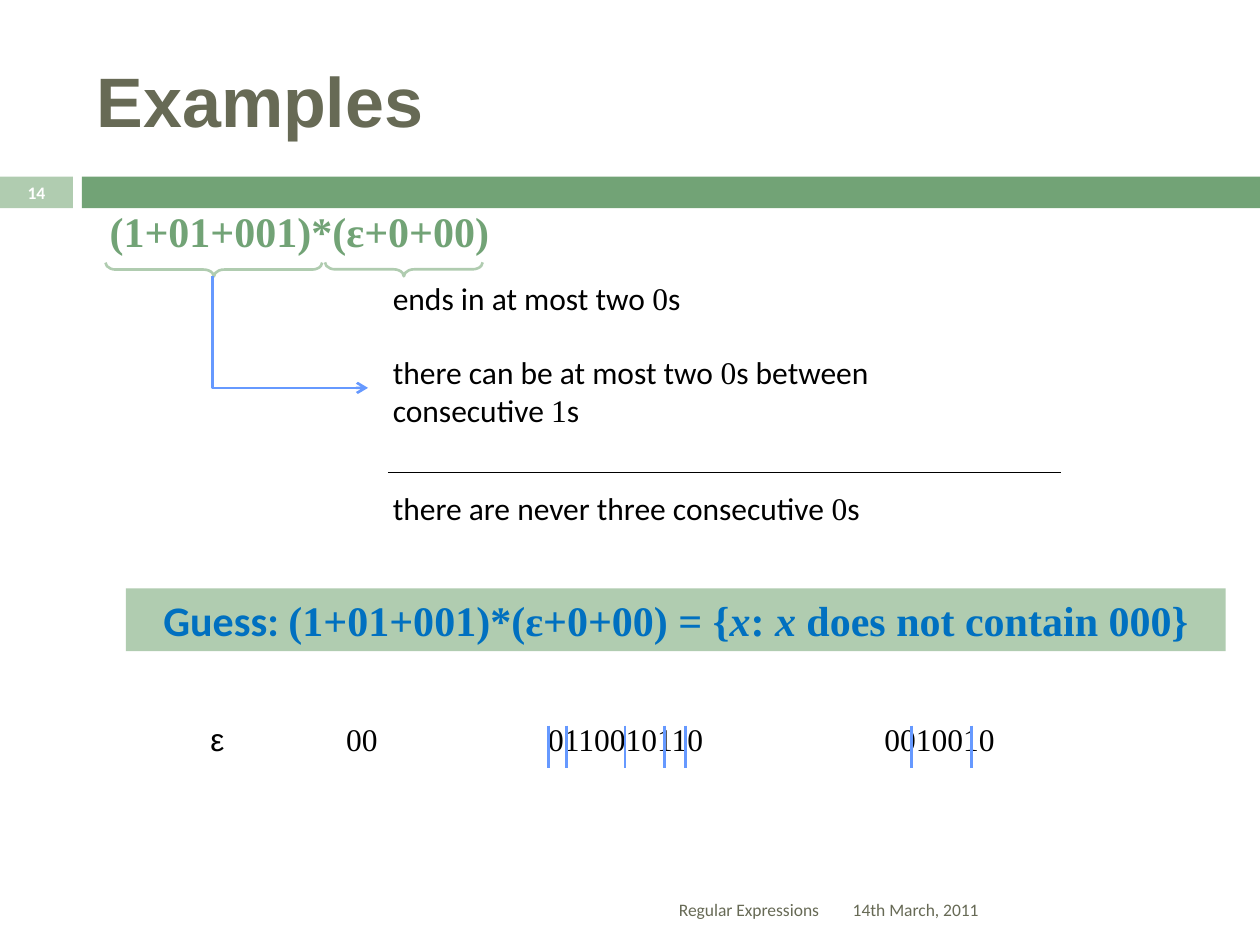
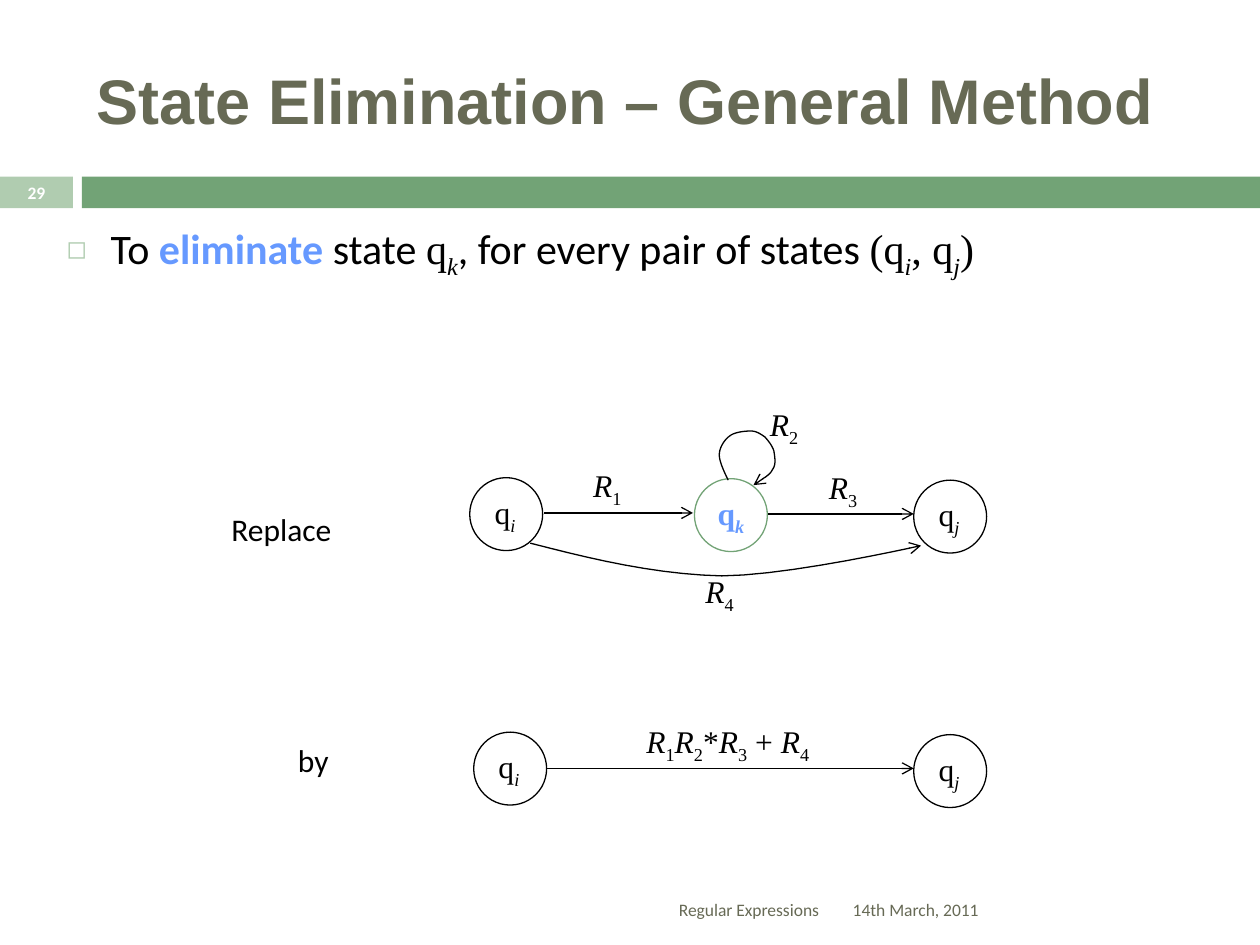
from lxml import etree
from pptx import Presentation
from pptx.dml.color import RGBColor
from pptx.enum.shapes import MSO_CONNECTOR, MSO_SHAPE
from pptx.enum.text import MSO_ANCHOR, MSO_AUTO_SIZE, PP_ALIGN
from pptx.oxml.ns import qn
from pptx.util import Cm, Pt

RECT, OVAL, BRACE = MSO_SHAPE.RECTANGLE, MSO_SHAPE.OVAL, MSO_SHAPE.RIGHT_BRACE
STRAIGHT, ELBOW = MSO_CONNECTOR.STRAIGHT, MSO_CONNECTOR.ELBOW
LEFT, CENTER, RIGHT = PP_ALIGN.LEFT, PP_ALIGN.CENTER, PP_ALIGN.RIGHT
MIDDLE = MSO_ANCHOR.MIDDLE

COLORS = {"title": "676A55", "band": "72A376", "pale": "B0CCB0", "accent": "6699FF",
          "guess": "0070C0", "text": "000000", "white": "FFFFFF"}
HEAD, BODY, MATH = "Arial", "Calibri", "Times New Roman"

# A run is a text or (text, flags): m math font, i italic, b bold, _ subscript, a accent colour.
# Boxes are left, top, width, height in cm.
FOOTER, DATE = "Regular Expressions", "14th March, 2011"

FORMULA = "(1+01+001)*(ε+0+00)"
BRACES = [(8.0, 3.84, 0.28, 3.18), (4.17, 3.25, 0.28, 4.37)]
CLAIM_X = 7.67
CLAIMS = [
    (5.51, 8.43, 1.3, ["ends in at most two ", ("0", "m"), "s"]),
    (6.99, 13.51, 2.31, ["there can be at most two ", ("0", "m"), "s between", "\n",
                         "consecutive ", ("1", "m"), "s"]),
    (9.73, 13.21, 1.3, ["there are never three consecutive ", ("0", "m"), "s"]),
]
GUESS = [("Guess: ", "b"), (FORMULA + " = {", "mb"), ("x", "mbi"), (": ", "mb"),
         ("x", "mbi"), (" does not contain 000}", "mb")]
SAMPLES = [(3.99, 0.89, "ε", HEAD), (6.73, 1.32, "00", MATH),
           (10.8, 4.52, "0110010110", MATH), (17.58, 3.33, "0010010", MATH)]
TICKS = [11.06, 11.42, 12.6, 13.39, 13.82, 18.38, 19.58]
TICK_TOP, TICK_BOTTOM = 14.63, 15.49

TASK = ["To ", ("eliminate ", "ba"), "state ", ("q", "m"), ("k", "mi_"),
        ", for every pair of states ", ("(q", "m"), ("i", "mi_"), (", q", "m"),
        ("j", "mi_"), (")", "m")]
STEPS = [(4.24, 10.16, 2.87, "Replace"), (5.72, 14.81, 1.19, "by")]
STATE_D = 1.47
STATES = [(9.47, 9.63, "i"), (14.0, 9.65, "k"), (18.42, 9.68, "j"),
          (9.55, 14.76, "i"), (18.42, 14.81, "j")]
ELIMINATED = "k"
ARROWS = [(10.97, 13.97, 10.34), (15.47, 18.42, 10.36), (11.02, 18.42, 15.49)]
EDGE_LABELS = [(11.71, 9.27, 1.17, "R1"), (15.27, 8.05, 1.17, "R2"), (16.46, 9.32, 1.17, "R3"),
               (13.97, 11.4, 1.17, "R4"), (12.78, 14.43, 3.99, "R1R2*R3 + R4")]
SELF_LOOP = [(14.68, 9.68), (14.63, 9.58), (14.5, 9.32), (14.5, 9.17),
             (14.5, 9.02), (14.61, 8.86), (14.71, 8.79),
             (14.81, 8.71), (15.01, 8.69), (15.14, 8.69),
             (15.24, 8.69), (15.32, 8.74), (15.42, 8.81),
             (15.49, 8.89), (15.57, 8.99), (15.6, 9.09),
             (15.62, 9.22), (15.65, 9.37), (15.57, 9.47),
             (15.52, 9.6), (15.27, 9.7), (15.19, 9.78)]
BYPASS = [(10.69, 10.95), (11.96, 11.28), (13.23, 11.58), (14.55, 11.61),
          (15.88, 11.61), (18.57, 11.0), (18.57, 11.0)]


def rgb(name):
    return RGBColor.from_string(COLORS[name])


def write(sp, runs, size=18, color="text", font=BODY, align=LEFT, anchor=MSO_ANCHOR.TOP,
          wrap=False):
    tf = sp.text_frame
    tf.word_wrap = wrap
    tf.auto_size = MSO_AUTO_SIZE.NONE if wrap else MSO_AUTO_SIZE.SHAPE_TO_FIT_TEXT
    tf.vertical_anchor = anchor
    p = tf.paragraphs[0]
    p.alignment = align
    for run in runs:
        text, flags = (run, "") if isinstance(run, str) else run
        if text == "\n":
            p.add_line_break()
            continue
        r = p.add_run()
        r.text = text
        r.font.size = Pt(size)
        r.font.name = MATH if "m" in flags else font
        r.font.bold = "b" in flags
        r.font.italic = "i" in flags
        r.font.color.rgb = rgb("accent" if "a" in flags else color)
        if "_" in flags:
            r.font._element.set("baseline", "-25000")
    return p


def add_text(s, box, runs, **style):
    return write(s.shapes.add_textbox(*map(Cm, box)), runs, **style)


def paint(sp, fill=None, line=None, width=0.75):
    sp.shadow.inherit = False
    if fill:
        sp.fill.solid()
        sp.fill.fore_color.rgb = rgb(fill)
    else:
        sp.fill.background()
    if line:
        sp.line.color.rgb = rgb(line)
        sp.line.width = Pt(width)
    else:
        sp.line.fill.background()


def add_shape(s, kind, box, **look):
    sp = s.shapes.add_shape(kind, *map(Cm, box))
    paint(sp, **look)
    return sp


def add_arrowhead(sp):
    etree.SubElement(sp.line._get_or_add_ln(), qn("a:tailEnd"), type="arrow")


def add_line(s, x1, y1, x2, y2, color="text", width=0.75, kind=STRAIGHT, arrow=False):
    c = s.shapes.add_connector(kind, Cm(x1), Cm(y1), Cm(x2), Cm(y2))
    c.line.color.rgb = rgb(color)
    c.line.width = Pt(width)
    if arrow:
        add_arrowhead(c)
    etree.SubElement(c._element.spPr, qn("a:effectLst"))
    return c


def add_curved_arrow(s, points, steps=10):
    """Draw joined cubic Bezier curves: a start, then two controls and an end for each."""
    path = []
    for n in range(0, len(points) - 1, 3):
        for k in range(1, steps + 1):
            t = k / steps
            weights = ((1 - t) ** 3, 3 * t * (1 - t) ** 2, 3 * t * t * (1 - t), t ** 3)
            path.append(tuple(Cm(sum(w * pt[axis] for w, pt in zip(weights, points[n:n + 4])))
                              for axis in (0, 1)))
    fb = s.shapes.build_freeform(*map(Cm, points[0]))
    fb.add_line_segments(path, close=False)
    sp = fb.convert_to_shape()
    paint(sp, line="text")
    add_arrowhead(sp)


def add_base_slide(prs, title, number, title_size):
    s = prs.slides.add_slide(prs.slide_layouts[6])
    add_shape(s, RECT, (0, 3.56, 1.47, 0.64), fill="pale")
    add_shape(s, RECT, (1.65, 3.56, 23.75, 0.64), fill="band")
    framed = {"anchor": MIDDLE, "wrap": True}
    add_text(s, (1.7, 0.64, 22.66, 2.74), [(title, "b")], size=title_size, color="title",
             font=HEAD, **framed)
    add_text(s, (0, 3.53, 1.47, 0.69), [(number, "b")], size=10, color="white",
             align=CENTER, **framed)
    add_text(s, (1.7, 17.83, 15.06, 1.02), [FOOTER], size=10, color="title",
             align=RIGHT, **framed)
    add_text(s, (16.94, 17.83, 7.42, 1.02), [DATE], size=10, color="title", **framed)
    return s


def build_examples(prs):
    s = add_base_slide(prs, "Examples", "14", 40)
    add_text(s, (1.96, 4.01, 8.2, 1.27), [(FORMULA, "mb")], size=24, color="band")
    for box in BRACES:
        brace = add_shape(s, BRACE, box, line="pale", width=1.5)
        brace.adjustments[0], brace.adjustments[1] = 0.74, 0.5
        brace.rotation = 90
    elbow = add_line(s, 4.29, 5.56, 7.42, 7.82, "accent", 1.5, ELBOW, arrow=True)
    guides = elbow._element.spPr.find(qn("a:prstGeom")).find(qn("a:avLst"))
    etree.SubElement(guides, qn("a:gd"), name="adj1", fmla="val 0")
    for top, width, height, runs in CLAIMS:
        add_text(s, (CLAIM_X, top, width, height), runs)
    add_line(s, 7.82, 9.53, 21.39, 9.53)
    write(add_shape(s, RECT, (2.54, 11.86, 22.17, 1.27), fill="pale"), GUESS,
          size=24, color="guess", align=CENTER)
    for left, width, word, font in SAMPLES:
        add_text(s, (left, 14.4, width, 1.3), [word], font=font)
    for x in TICKS:
        add_line(s, x, TICK_TOP, x, TICK_BOTTOM, "accent", 1.5)


def build_elimination(prs):
    s = add_base_slide(prs, "State Elimination – General Method", "29", 36)
    p = add_text(s, (1.09, 4.37, 23.22, 1.98), TASK, size=24, wrap=True)
    pPr = p._p.get_or_add_pPr()
    pPr.set("marL", str(Cm(0.89)))
    pPr.set("indent", str(-Cm(0.89)))
    color = etree.SubElement(pPr, qn("a:buClr"))
    etree.SubElement(color, qn("a:srgbClr"), val=COLORS["pale"])
    etree.SubElement(pPr, qn("a:buSzPct"), val="60000")
    etree.SubElement(pPr, qn("a:buChar"), char="◻")

    for left, top, width, word in STEPS:
        add_text(s, (left, top, width, 1.02), [word], align=CENTER)
    for x1, x2, y in ARROWS:
        add_line(s, x1, y, x2, y, arrow=True)
    for left, top, index in STATES:
        gone = index == ELIMINATED
        add_shape(s, OVAL, (left, top, STATE_D, STATE_D),
                  fill="white" if gone else None, line="band" if gone else "text")
        width = 1.14 if gone else 0.97
        mark = "mba" if gone else "m"
        add_text(s, (left + (STATE_D - width) / 2, top + 0.18, width, 1.02),
                 [("q", mark), (index, mark + "i_")], align=CENTER if gone else LEFT)
    add_curved_arrow(s, SELF_LOOP)
    add_curved_arrow(s, BYPASS)
    for left, top, width, label in EDGE_LABELS:
        runs = [(ch, "mi" if ch == "R" else "m_" if ch.isdigit() else "m") for ch in label]
        add_text(s, (left, top, width, 1.02), runs)


def main():
    prs = Presentation()
    prs.slide_width, prs.slide_height = Cm(25.4), Cm(19.05)
    build_examples(prs)
    build_elimination(prs)
    prs.save("out.pptx")


if __name__ == "__main__":
    main()
